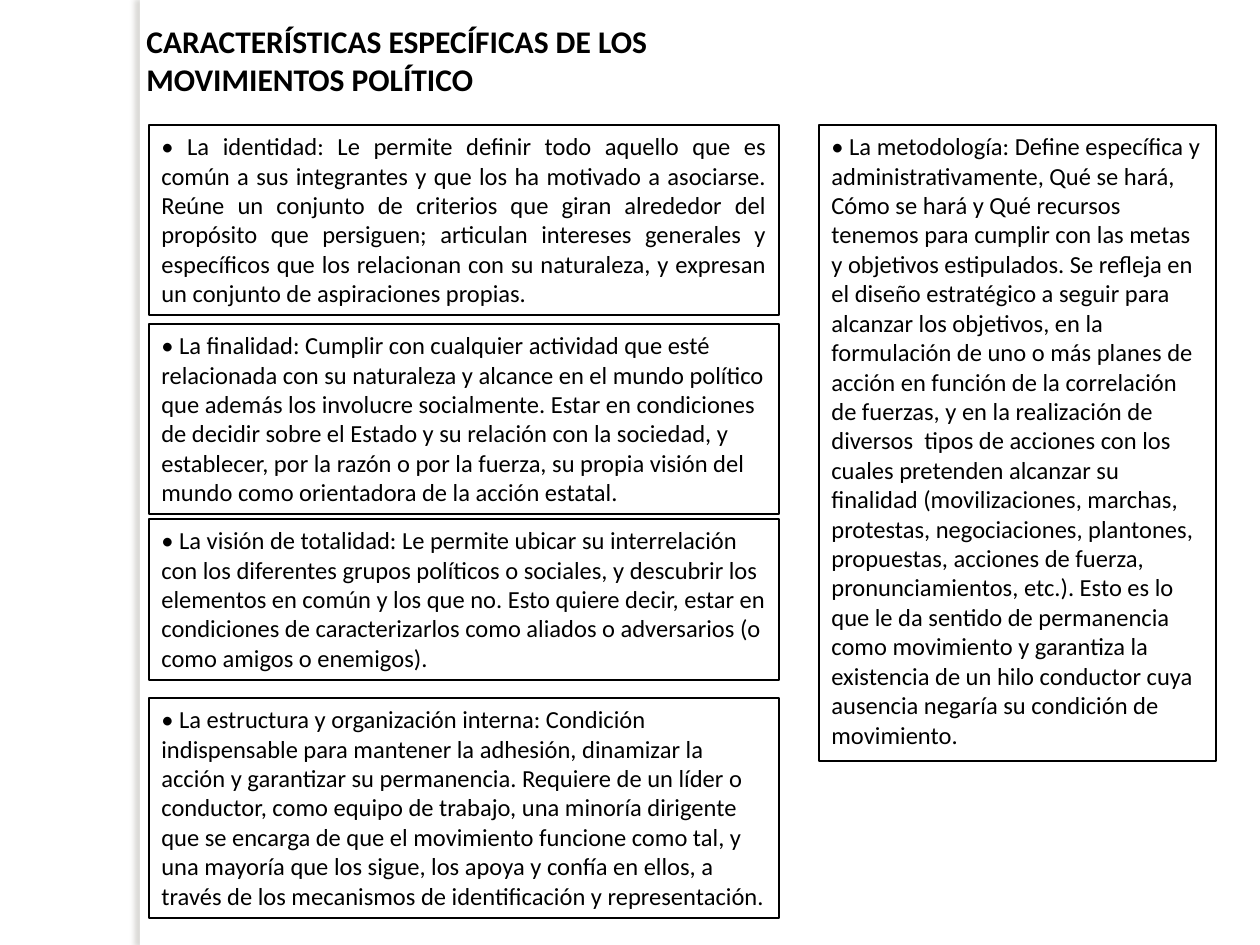
from dataclasses import dataclass

from lxml.etree import SubElement
from pptx import Presentation
from pptx.dml.color import RGBColor
from pptx.enum.shapes import MSO_SHAPE
from pptx.enum.text import MSO_ANCHOR, MSO_AUTO_SIZE, PP_ALIGN
from pptx.oxml.ns import qn
from pptx.util import Emu, Pt

PX = 914400 / 126


@dataclass(frozen=True)
class Theme:
    font: str = "Calibri"
    ink: str = "000000"
    paper: str = "FFFFFF"
    shade: str = "736F63"
    title_size: int = 18
    body_size: int = 14
    border: float = 0.75


THEME = Theme()

TITLE = "CARACTERÍSTICAS ESPECÍFICAS DE LOS MOVIMIENTOS POLÍTICO"
IDENTITY = (
    "• La identidad: Le permite definir todo aquello que es común a sus integrantes y que los ha "
    "motivado a asociarse. Reúne un conjunto de criterios que giran alrededor del propósito que "
    "persiguen; articulan intereses generales y específicos que los relacionan con su naturaleza, "
    "y expresan un conjunto de aspiraciones propias."
)
PURPOSE = (
    "• La finalidad: Cumplir con cualquier actividad que esté relacionada con su naturaleza y "
    "alcance en el mundo político que además los involucre socialmente. Estar en condiciones de "
    "decidir sobre el Estado y su relación con la sociedad, y establecer, por la razón o por la "
    "fuerza, su propia visión del mundo como orientadora de la acción estatal."
)
VISION = (
    "• La visión de totalidad: Le permite ubicar su interrelación con los diferentes grupos "
    "políticos o sociales, y descubrir los elementos en común y los que no. Esto quiere decir, "
    "estar en condiciones de caracterizarlos como aliados o adversarios (o como amigos o enemigos)."
)
STRUCTURE = (
    "• La estructura y organización interna: Condición indispensable para mantener la adhesión, "
    "dinamizar la acción y garantizar su permanencia. Requiere de un líder o conductor, como "
    "equipo de trabajo, una minoría dirigente que se encarga de que el movimiento funcione como "
    "tal, y una mayoría que los sigue, los apoya y confía en ellos, a través de los mecanismos de "
    "identificación y representación."
)
METHOD = (
    "• La metodología: Define específica y administrativamente, Qué se hará, Cómo se hará y Qué "
    "recursos tenemos para cumplir con las metas y objetivos estipulados. Se refleja en el diseño "
    "estratégico a seguir para alcanzar los objetivos, en la formulación de uno o más planes de "
    "acción en función de la correlación de fuerzas, y en la realización de diversos  tipos de "
    "acciones con los cuales pretenden alcanzar su finalidad (movilizaciones, marchas, protestas, "
    "negociaciones, plantones, propuestas, acciones de fuerza, pronunciamientos, etc.). Esto es lo "
    "que le da sentido de permanencia como movimiento y garantiza la existencia de un hilo "
    "conductor cuya ausencia negaría su condición de movimiento."
)

# Text, offset from the column top, height, alignment
LEFT_CARDS = [
    (IDENTITY, 0, 190, PP_ALIGN.JUSTIFY),
    (PURPOSE, 199, 190, PP_ALIGN.LEFT),
    (VISION, 394, 161, PP_ALIGN.LEFT),
    (STRUCTURE, 573, 220, PP_ALIGN.LEFT),
]


def emu(*lengths):
    return [Emu(round(length * PX)) for length in lengths]


def color(value):
    return RGBColor.from_string(value)


def apply_format(target, values):
    for name, value in values.items():
        setattr(target, name, value)


def write_text(shape, text, size, bold=False, alignment=PP_ALIGN.LEFT):
    frame = shape.text_frame
    apply_format(frame, {
        "word_wrap": True,
        "auto_size": MSO_AUTO_SIZE.SHAPE_TO_FIT_TEXT,
        "vertical_anchor": MSO_ANCHOR.TOP,
    })
    paragraph = frame.paragraphs[0]
    paragraph.alignment = alignment
    run = paragraph.add_run()
    run.text = text
    apply_format(run.font, {"name": THEME.font, "size": Pt(size), "bold": bold})
    run.font.color.rgb = color(THEME.ink)


def add_edge(slide, box):
    """Place the white vertical strip that casts a soft shadow to its left."""
    strip = slide.shapes.add_shape(MSO_SHAPE.RECTANGLE, *emu(*box))
    strip.fill.solid()
    strip.fill.fore_color.rgb = color(THEME.paper)
    strip.line.fill.background()
    strip.shadow.inherit = False
    effects = strip.element.spPr.find(qn("a:effectLst"))
    shadow = SubElement(effects, qn("a:outerShdw"), {
        "blurRad": str(Pt(3)), "dist": str(Pt(3)), "dir": str(180 * 60000),
        "algn": "tl", "rotWithShape": "0",
    })
    tone = SubElement(shadow, qn("a:srgbClr"), val=THEME.shade)
    SubElement(tone, qn("a:alpha"), val="25000")


def add_title(slide, box):
    title = slide.shapes.add_textbox(*emu(*box))
    write_text(title, TITLE, THEME.title_size, bold=True)


def add_card(slide, box, text, alignment=PP_ALIGN.LEFT):
    card = slide.shapes.add_shape(MSO_SHAPE.RECTANGLE, *emu(*box))
    card.shadow.inherit = False
    card.fill.background()
    card.line.color.rgb = color(THEME.ink)
    card.line.width = Pt(THEME.border)
    write_text(card, text, THEME.body_size, alignment=alignment)


def add_left_column(slide, box):
    left, top, width, _ = box
    for text, offset, height, alignment in LEFT_CARDS:
        add_card(slide, (left, top + offset, width, height), text, alignment)


def main():
    presentation = Presentation()
    presentation.slide_width, presentation.slide_height = emu(1260, 945)
    slide = presentation.slides.add_slide(presentation.slide_layouts[6])
    add_edge(slide, (140, 0, 10, 945))
    add_left_column(slide, (149, 125, 630, 793))
    add_card(slide, (819, 125, 397, 636), METHOD)
    add_title(slide, (134, 16, 630, 89))
    presentation.save("out.pptx")


if __name__ == "__main__":
    main()
